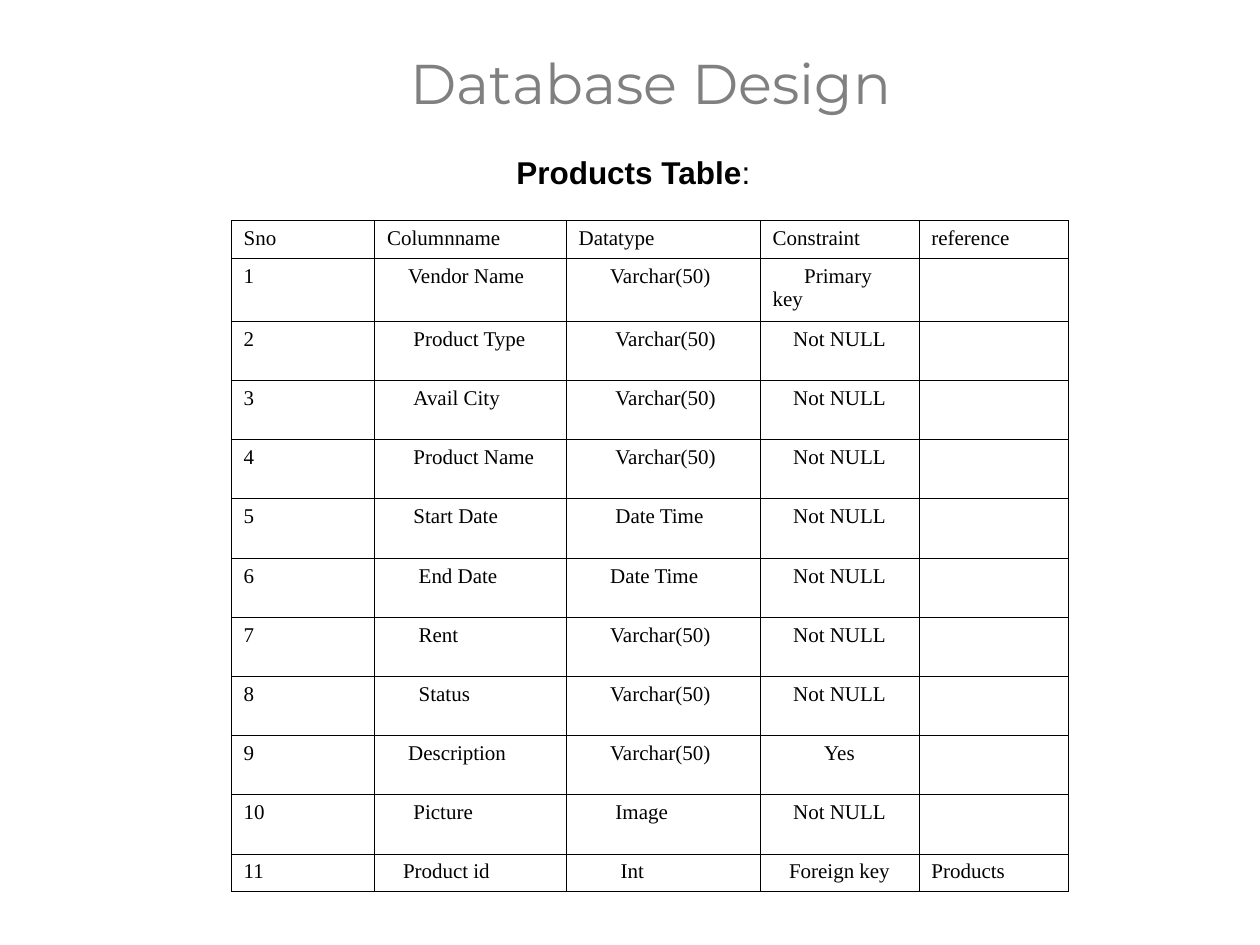
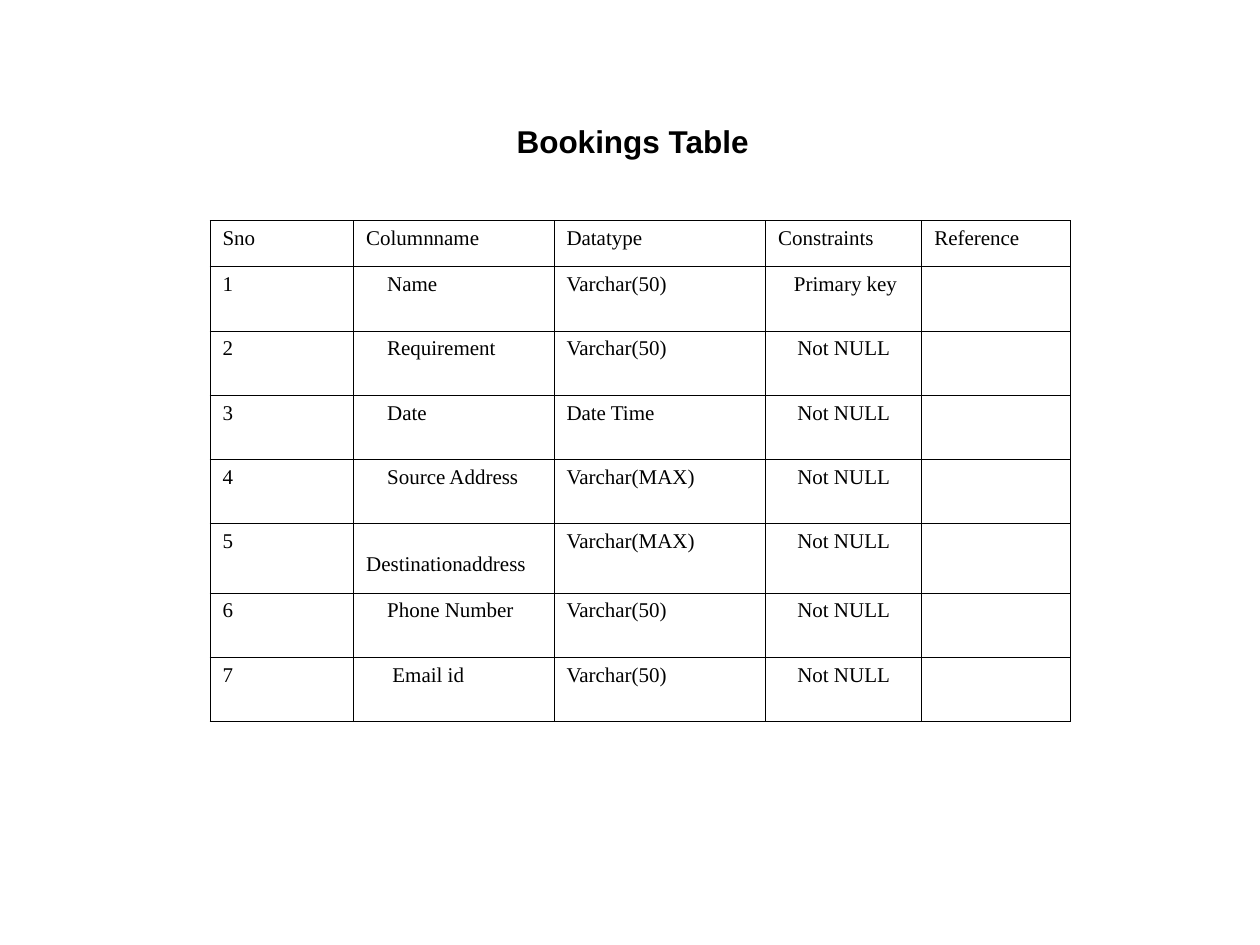
"""Build two database design slides, each with a table of column definitions."""
from dataclasses import dataclass

from lxml.etree import SubElement
from pptx import Presentation
from pptx.dml.color import RGBColor
from pptx.enum.text import MSO_ANCHOR, MSO_AUTO_SIZE, PP_ALIGN
from pptx.oxml.ns import qn
from pptx.util import Emu, Inches, Pt

WIDTH, HEIGHT = Inches(10), Inches(7.5)
COLUMN, ROW = WIDTH / 120, HEIGHT / 90
COLORS = {"heading": "808080", "ink": "000000"}
INDENT_STEP = Pt(3)
TABLE_TOP = 21
BORDER_WIDTH, OUTLINE_WIDTH = Pt(0.45), Pt(0.75)


@dataclass(frozen=True)
class TextStyle:
    """Font of a run."""
    font: str
    size: float
    color: str = "ink"
    bold: bool = False


@dataclass(frozen=True)
class Area:
    """Place on the slide in grid columns and rows."""
    left: float
    top: float
    width: float
    height: float


@dataclass(frozen=True)
class Field:
    """One described database column, with indents in steps."""
    name: str
    name_indent: int
    datatype: str
    type_indent: int = 0
    constraint: str = "Not NULL"
    key_indent: int = 0
    reference: str = ""
    name_drop: float = 0


@dataclass(frozen=True)
class Schema:
    """One database table and its grid."""
    left: float
    widths: tuple[float, ...]
    heights: tuple[float, ...]
    headers: tuple[str, ...]
    fields: tuple[Field, ...]


HEADING = TextStyle("Montserrat", 32, "heading")
CAPTION = TextStyle("Arial", 18, bold=True)
CAPTION_COLON = TextStyle("Arial", 18)
ENTRY = TextStyle("Times New Roman", 12)

PRODUCTS = Schema(
    22,
    (13.68, 18.24, 18.48, 15.12, 14.28),
    (3.6, 6, *[5.64] * 9, 3.6),
    ("Sno", "Columnname", "Datatype", "Constraint", "reference"),
    (
        Field("Vendor Name", 4, "Varchar(50)", 6, "Primary key", 6),
        Field("Product Type", 5, "Varchar(50)", 7),
        Field("Avail City", 5, "Varchar(50)", 7),
        Field("Product Name", 5, "Varchar(50)", 7),
        Field("Start Date", 5, "Date Time", 7),
        Field("End Date", 6, "Date Time", 6),
        Field("Rent", 6, "Varchar(50)", 6),
        Field("Status", 6, "Varchar(50)", 6),
        Field("Description", 4, "Varchar(50)", 6, "Yes"),
        Field("Picture", 5, "Image", 7),
        Field("Product id", 3, "Int", 8, "Foreign key", reference="Products"),
    ),
)
BOOKINGS = Schema(
    20,
    (13.68, 19.08, 20.16, 14.88, 14.16),
    (4.4, *[6.12] * 4, 6.6, *[6.12] * 2),
    ("Sno", "Columnname", "Datatype", "Constraints", "Reference"),
    (
        Field("Name", 4, "Varchar(50)", constraint="Primary key", key_indent=3),
        Field("Requirement", 4, "Varchar(50)"),
        Field("Date", 4, "Date Time"),
        Field("Source Address", 4, "Varchar(MAX)"),
        Field("Destinationaddress", 0, "Varchar(MAX)", name_drop=2.2),
        Field("Phone Number", 4, "Varchar(50)"),
        Field("Email id", 5, "Varchar(50)"),
    ),
)


def across(columns: float) -> Emu:
    """Turn grid columns into a length."""
    return Emu(round(columns * COLUMN))


def down(rows: float) -> Emu:
    """Turn grid rows into a length."""
    return Emu(round(rows * ROW))


def add_run(paragraph, text: str, style: TextStyle):
    """Append a styled run and return it."""
    run = paragraph.add_run()
    run.text = text
    run.font.name, run.font.size, run.font.bold = style.font, Pt(style.size), style.bold
    run.font.color.rgb = RGBColor.from_string(COLORS[style.color])
    return run


def add_line(parent, tag: str, width: int):
    """Append a solid ink-coloured line element and return it."""
    line = SubElement(parent, qn(tag), w=str(int(width)))
    fill = SubElement(line, qn("a:solidFill"))
    SubElement(fill, qn("a:srgbClr"), val=COLORS["ink"])
    return line


def set_label(label, area: Area, anchor, alignment, auto_size):
    """Place a label on the grid and return its paragraph."""
    label.left, label.top = across(area.left), down(area.top)
    label.width, label.height = across(area.width), down(area.height)
    frame = label.text_frame
    frame.auto_size, frame.word_wrap = auto_size, False
    frame.vertical_anchor = anchor
    frame.margin_left = frame.margin_right = Inches(0.1)
    frame.margin_top = frame.margin_bottom = Inches(0.05)
    paragraph = frame.paragraphs[0]
    paragraph.alignment = alignment
    return paragraph


def set_caption(label, top: float, text: str):
    """Write the bold name of a table and return its paragraph."""
    paragraph = set_label(label, Area(48, top, 25.68, 4.8), MSO_ANCHOR.MIDDLE,
                          PP_ALIGN.LEFT, MSO_AUTO_SIZE.SHAPE_TO_FIT_TEXT)
    add_run(paragraph, text, CAPTION)
    return paragraph


def set_entry(cell, text: str, indent: int = 0, centered: bool = False, drop: float = 0) -> None:
    """Write and border one table cell."""
    cell.margin_left = cell.margin_right = Inches(0.1)
    cell.margin_top = Inches(0.05) + down(drop)
    cell.margin_bottom = Inches(0.05)
    paragraph = cell.text_frame.paragraphs[0]
    paragraph.alignment = PP_ALIGN.CENTER if centered else PP_ALIGN.LEFT
    if indent:
        paragraph_properties = paragraph._p.get_or_add_pPr()
        paragraph_properties.set("marL", "0")
        paragraph_properties.set("indent", str(indent * INDENT_STEP))
    if text:
        add_run(paragraph, text, ENTRY)
    else:
        paragraph.font.size = Pt(ENTRY.size)
    cell_properties = cell._tc.get_or_add_tcPr()
    for side in "LRTB":
        add_line(cell_properties, f"a:ln{side}", BORDER_WIDTH)
    cell.fill.background()


def add_schema(slide, schema: Schema) -> None:
    """Draw the table that describes a schema."""
    grid = slide.shapes.add_table(
        len(schema.heights), len(schema.widths), across(schema.left), down(TABLE_TOP),
        across(sum(schema.widths)), down(sum(schema.heights))).table
    grid.first_row = grid.horz_banding = False
    for column, width in zip(grid.columns, schema.widths):
        column.width = across(width)
    for row, height in zip(grid.rows, schema.heights):
        row.height = down(height)
    for position, header in enumerate(schema.headers):
        set_entry(grid.cell(0, position), header)
    for number, field in enumerate(schema.fields, 1):
        sno, name, datatype, constraint, reference = grid.rows[number].cells
        set_entry(sno, str(number))
        set_entry(name, field.name, field.name_indent, drop=field.name_drop)
        set_entry(datatype, field.datatype, field.type_indent)
        set_entry(constraint, field.constraint, field.key_indent, not field.key_indent)
        set_entry(reference, field.reference)


def add_products_slide(deck, layout) -> None:
    """Add the products slide."""
    slide = deck.slides.add_slide(layout)
    heading = set_label(slide.shapes.title, Area(35, 4, 54, 7.44), MSO_ANCHOR.TOP,
                        PP_ALIGN.CENTER, MSO_AUTO_SIZE.NONE)
    properties = add_run(heading, "Database Design", HEADING)._r.get_or_add_rPr()
    properties.insert(0, add_line(properties, "a:ln", OUTLINE_WIDTH))
    add_schema(slide, PRODUCTS)
    caption = set_caption(slide.shapes.add_textbox(0, 0, 0, 0), 14, "Products Table")
    add_run(caption, ":", CAPTION_COLON)


def add_bookings_slide(deck, layout) -> None:
    """Add the bookings slide."""
    slide = deck.slides.add_slide(layout)
    set_caption(slide.shapes.title, 11, "Bookings Table")
    add_schema(slide, BOOKINGS)


def main() -> None:
    """Build and save the deck."""
    deck = Presentation()
    deck.slide_width, deck.slide_height = WIDTH, HEIGHT
    title_only = deck.slide_layouts.get_by_name("Title Only")
    add_products_slide(deck, title_only)
    add_bookings_slide(deck, title_only)
    deck.save("out.pptx")


if __name__ == "__main__":
    main()
